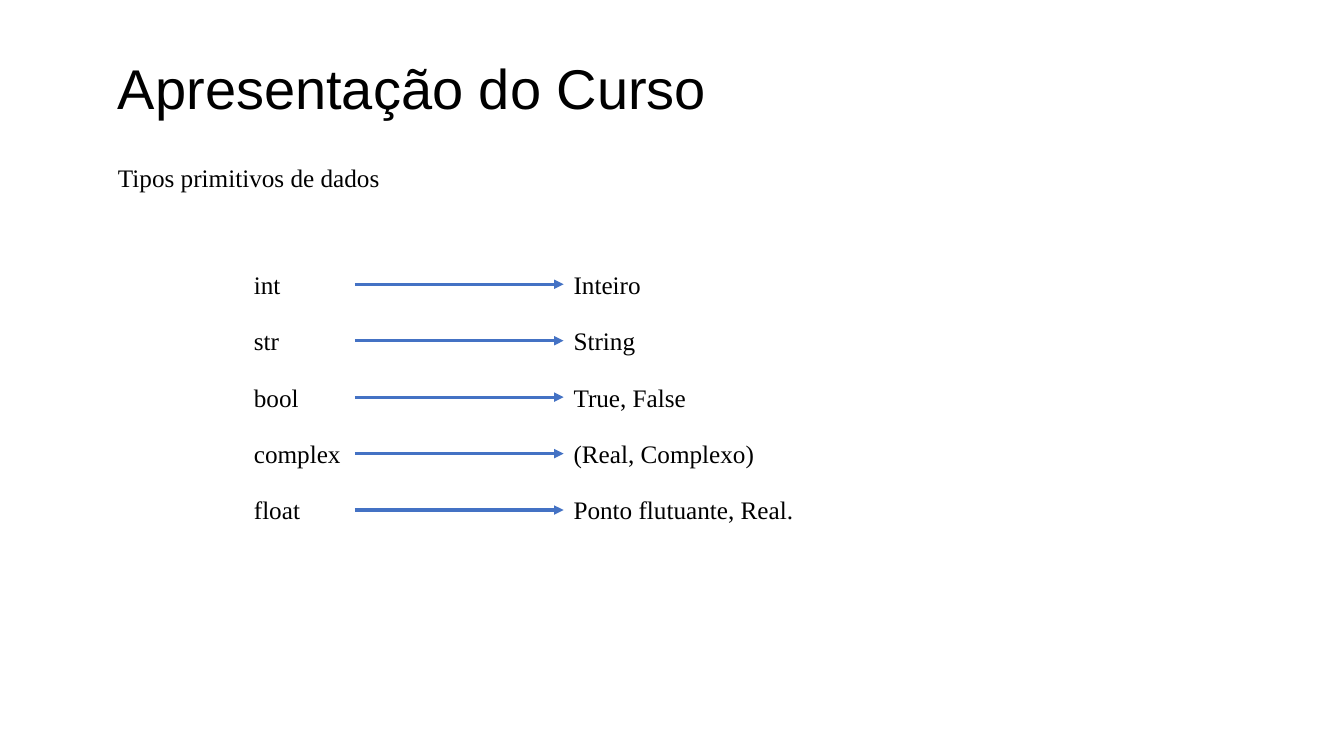
from dataclasses import dataclass

from lxml import etree
from pptx import Presentation
from pptx import util as u
from pptx.dml.color import RGBColor
from pptx.enum import shapes, text
from pptx.oxml import ns

COLORS = {"text": "000000", "arrow": "4472C4"}
SERIF = "Times New Roman"
TOP, PITCH, HIGH = 2.62, 0.56, 0.4
LEFT, RIGHT, WIDE = 2.42, 5.59, 1.1


@dataclass
class Kind:
    name: str
    sense: str
    width: float


KINDS = [
    Kind("int", "Inteiro", 1.29),
    Kind("str", "String", 1.29),
    Kind("bool", "True, False", 1.74),
    Kind("complex", "(Real, Complexo)", 2.47),
    Kind("float", "Ponto flutuante, Real.", 2.9),
]


def write(shape, words: str, *, size: float = 18, font: str = SERIF,
          color: str = "text", line: float = 1.0, before: float = 0,
          anchor=text.MSO_ANCHOR.TOP, fit=text.MSO_AUTO_SIZE.NONE):
    frame = shape.text_frame
    frame.word_wrap = True
    frame.auto_size = fit
    frame.vertical_anchor = anchor
    par = frame.paragraphs[0]
    par.alignment = text.PP_ALIGN.LEFT
    par.line_spacing = line
    par.space_before = u.Pt(before)
    run = par.add_run()
    run.text = words
    run.font.size = u.Pt(size)
    run.font.name = font
    run.font.color.rgb = RGBColor.from_string(COLORS[color])
    return par


def place(shape, left: float, top: float, width: float, height: float) -> None:
    shape.left, shape.top = u.Inches(left), u.Inches(top)
    shape.width, shape.height = u.Inches(width), u.Inches(height)


def label(slide, words: str, left: float, top: float, width: float):
    box = slide.shapes.add_textbox(
        u.Inches(left), u.Inches(top), u.Inches(width), u.Inches(HIGH))
    write(box, words, fit=text.MSO_AUTO_SIZE.SHAPE_TO_FIT_TEXT)
    return box


def arrow(slide, start, end) -> None:
    """Join the right side of start to the left side of end."""
    link = slide.shapes.add_connector(shapes.MSO_CONNECTOR.STRAIGHT, 0, 0, 0, 0)
    link.begin_connect(start, 3)
    link.end_connect(end, 1)
    link.line.color.rgb = RGBColor.from_string(COLORS["arrow"])
    link.line.width = u.Pt(2.25)
    props = link._element.spPr
    etree.SubElement(props.find(ns.qn("a:ln")), ns.qn("a:tailEnd"), type="triangle")
    etree.SubElement(props, ns.qn("a:effectLst"))


def main() -> None:
    deck = Presentation()
    deck.slide_width, deck.slide_height = u.Inches(13.33), u.Inches(7.5)
    slide = deck.slides.add_slide(deck.slide_layouts[1])

    title, body = slide.shapes.title, slide.placeholders[1]
    place(title, 1.07, 0.61, 6.41, 0.6)
    write(title, "Apresentação do Curso", size=40, font="Arial", line=0.9,
          anchor=text.MSO_ANCHOR.MIDDLE)
    place(body, 1.07, 1.59, 6.41, 0.36)
    par = write(body, "Tipos primitivos de dados", line=0.9, before=10)
    props = par._p.get_or_add_pPr()
    props.set("marL", "0")
    props.set("indent", "0")
    etree.SubElement(props, ns.qn("a:buNone"))

    for row, kind in enumerate(KINDS):
        top = TOP + row * PITCH
        name = label(slide, kind.name, LEFT, top, WIDE)
        sense = label(slide, kind.sense, RIGHT, top, kind.width)
        arrow(slide, name, sense)

    deck.save("out.pptx")


if __name__ == "__main__":
    main()
